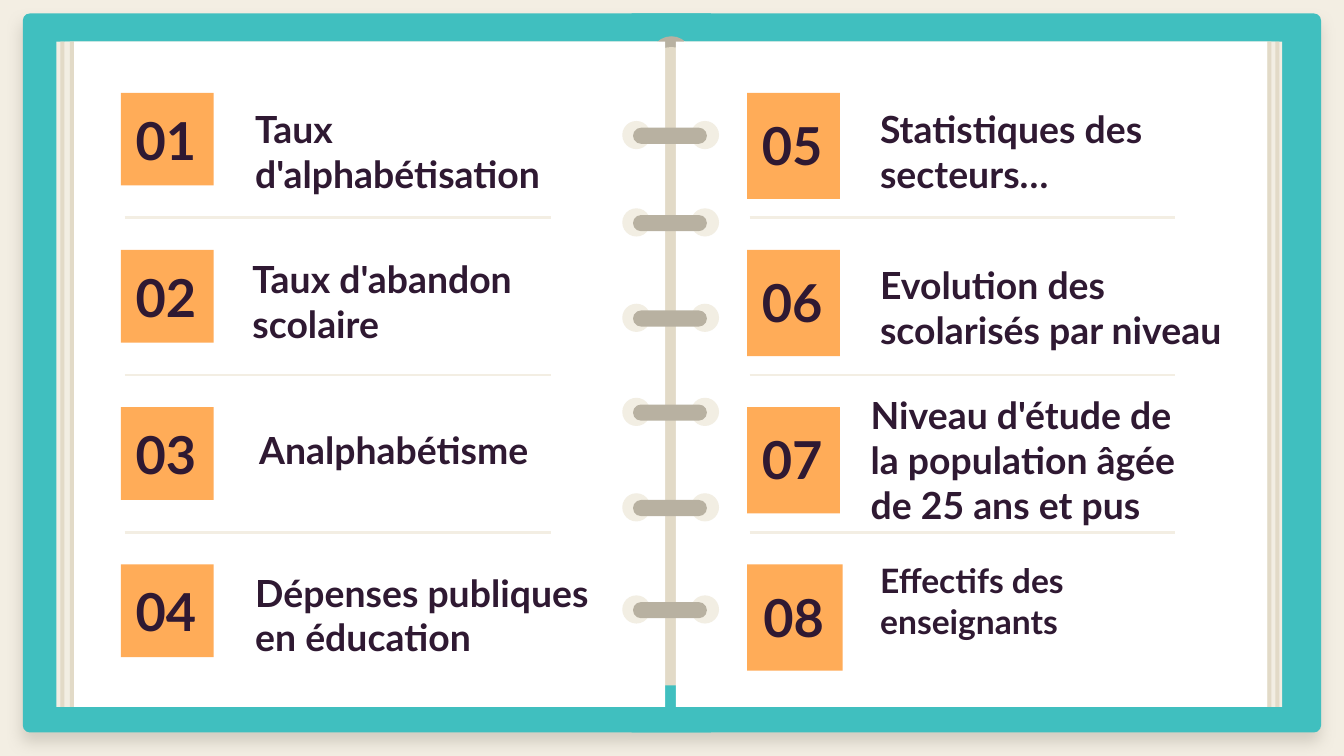
from lxml import etree
from pptx import Presentation
from pptx.dml.color import RGBColor
from pptx.enum.shapes import MSO_CONNECTOR, MSO_SHAPE
from pptx.enum.text import MSO_ANCHOR, PP_ALIGN
from pptx.oxml import parse_xml
from pptx.oxml.ns import nsdecls, qn
from pptx.util import Inches, Pt

RECT = MSO_SHAPE.RECTANGLE
ROUNDED = MSO_SHAPE.ROUNDED_RECTANGLE
OVAL = MSO_SHAPE.OVAL
STRAIGHT = MSO_CONNECTOR.STRAIGHT
TOP, MIDDLE = MSO_ANCHOR.TOP, MSO_ANCHOR.MIDDLE
LEFT, CENTER = PP_ALIGN.LEFT, PP_ALIGN.CENTER

TEAL, CREAM, SAND, TAUPE = "40BFBF", "F2EEE3", "E2DAC7", "B8B1A1"
WHITE, ORANGE, PLUM, BACKDROP = "FFFFFF", "FFAC58", "2F1932", "F3EEE3"

deck = Presentation()
deck.slide_width = Inches(10)
deck.slide_height = deck.slide_width * 9 // 16
page = deck.slides.add_slide(deck.slide_layouts[6])
page.background.fill.solid()
page.background.fill.fore_color.rgb = RGBColor.from_string(BACKDROP)


def add_block(kind, left, top, width, height, color):
    block = page.shapes.add_shape(
        kind, Inches(left), Inches(top), Inches(width), Inches(height))
    block.shadow.inherit = False
    block.fill.solid()
    block.fill.fore_color.rgb = RGBColor.from_string(color)
    block.line.fill.background()
    return block


def add_text(text, left, top, width, height, size=20, align=LEFT, anchor=TOP):
    box = page.shapes.add_textbox(
        Inches(left), Inches(top), Inches(width), Inches(height))
    frame = box.text_frame
    frame.word_wrap = True
    frame.vertical_anchor = anchor
    frame.margin_left = frame.margin_right = Inches(0.1)
    frame.margin_top = frame.margin_bottom = Inches(0.1)
    para = frame.paragraphs[0]
    para.alignment = align
    span = para.add_run()
    span.text = text
    span.font.name, span.font.size, span.font.bold = "Lato", Pt(size), True
    span.font.color.rgb = RGBColor.from_string(PLUM)


# Notebook cover with its soft shadow
cover = add_block(ROUNDED, 0.17, 0.1, 9.66, 5.35, TEAL)
cover.adjustments[0] = 0.01
effects = cover._element.spPr.find(qn("a:effectLst"))
effects.append(parse_xml(
    f'<a:outerShdw {nsdecls("a")} blurRad="{Pt(7.9)}" dist="{Pt(5.2)}" '
    'dir="5400000" algn="bl" rotWithShape="0"><a:srgbClr val="918C7F">'
    '<a:alpha val="32000"/></a:srgbClr></a:outerShdw>'))
add_block(RECT, 4.7, 0.1, 0.59, 5.35, TEAL)

# Spine, stacked sheets and the edges of the sheets
PAPER_TOP, PAPER_HEIGHT = 0.31, 4.95
add_block(RECT, 4.92, 0.52, 0.13, 4.58, SAND)
add_block(OVAL, 4.84, 0.27, 0.31, 0.31, TAUPE)
add_block(OVAL, 4.84, 0.35, 0.31, 0.27, SAND)
for left, width, color in (
        (0.42, 4.47, CREAM), (0.48, 4.42, CREAM),
        (5.09, 4.45, CREAM), (5.09, 4.4, CREAM),
        (5.03, 4.4, WHITE), (0.55, 4.4, WHITE),
        (0.45, 0.03, SAND), (0.52, 0.03, SAND),
        (9.49, 0.03, SAND), (9.43, 0.03, SAND)):
    add_block(RECT, left, PAPER_TOP, width, PAPER_HEIGHT, color)

# Binder rings: two punched holes joined by a bar
for center in (1.01, 1.66, 2.37, 3.07, 3.78, 4.54):
    for left in (4.63, 5.14):
        add_block(OVAL, left, center - 0.11, 0.21, 0.21, CREAM)
    bar = add_block(ROUNDED, 4.71, center - 0.06, 0.55, 0.12, TAUPE)
    bar.adjustments[0] = 0.5

# Contents: two pages of four rows
FIRST_ROW, ROW_STEP = 0.69, 1.17
# Each entry: text, left, top, width, height, size
left_entries = (
    ("Taux d'alphabétisation", 1.8, 0.69, 2.66, 0.46, 20),
    ("Taux d'abandon scolaire", 1.78, 1.81, 2.83, 0.46, 20),
    ("Analphabétisme", 1.83, 3.08, 2.24, 0.46, 20),
    ("Dépenses publiques en éducation", 1.8, 4.14, 2.91, 0.46, 20))
right_entries = (
    ("Statistiques des secteurs…", 6.45, 0.69, 2.73, 0.79, 20),
    ("Evolution des scolarisés par niveau", 6.45, 1.85, 2.97, 0.46, 20),
    ("Niveau d'étude de la population âgée de 25 ans et pus",
     6.38, 2.82, 2.7, 0.53, 20),
    ("Effectifs des enseignants", 6.45, 4.07, 2.29, 0.53, 18))

for first, tile_left, tile_height, number_height, rule_left, rule_right, entries in (
        (1, 0.9, 0.69, 0.51, 0.93, 4.1, left_entries),
        (5, 5.56, 0.79, 0.59, 5.58, 8.74, right_entries)):
    for row, (text, left, top, width, height, size) in enumerate(entries):
        row_top = FIRST_ROW + row * ROW_STEP
        number = first + row
        extra = 0.02 if number == 8 else 0
        add_block(RECT, tile_left, row_top, 0.69 + extra, tile_height, ORANGE)
        add_text(f"{number:02}", tile_left - 0.05, row_top + 0.09,
                 0.77 + extra, number_height, size=28,
                 align=CENTER, anchor=MIDDLE)
        add_text(text, left, top, width, height, size=size)
        if row < len(entries) - 1:
            rule_y = Inches(row_top + 0.93)
            rule = page.shapes.add_connector(
                STRAIGHT, Inches(rule_left), rule_y, Inches(rule_right), rule_y)
            rule.line.color.rgb = RGBColor.from_string(BACKDROP)
            rule.line.width = Pt(1.5)
            etree.SubElement(rule._element.spPr, qn("a:effectLst"))

deck.save("out.pptx")
